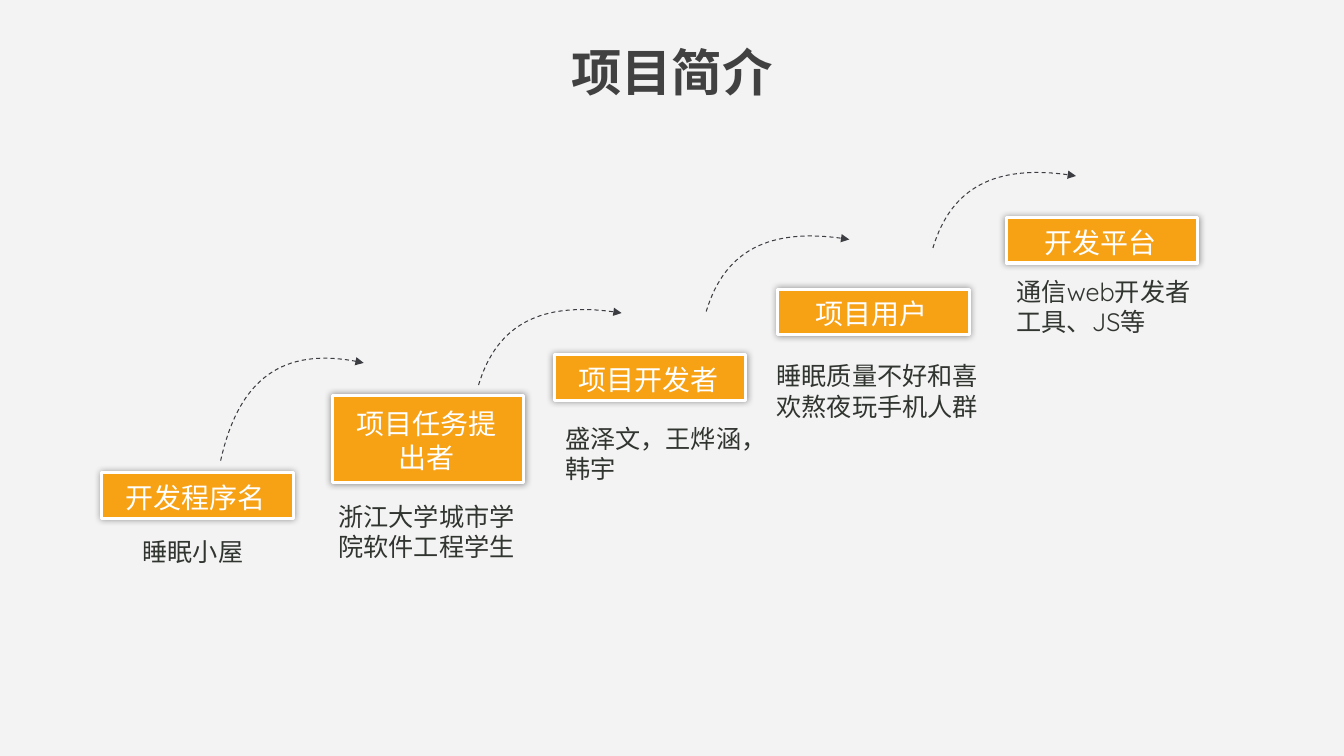
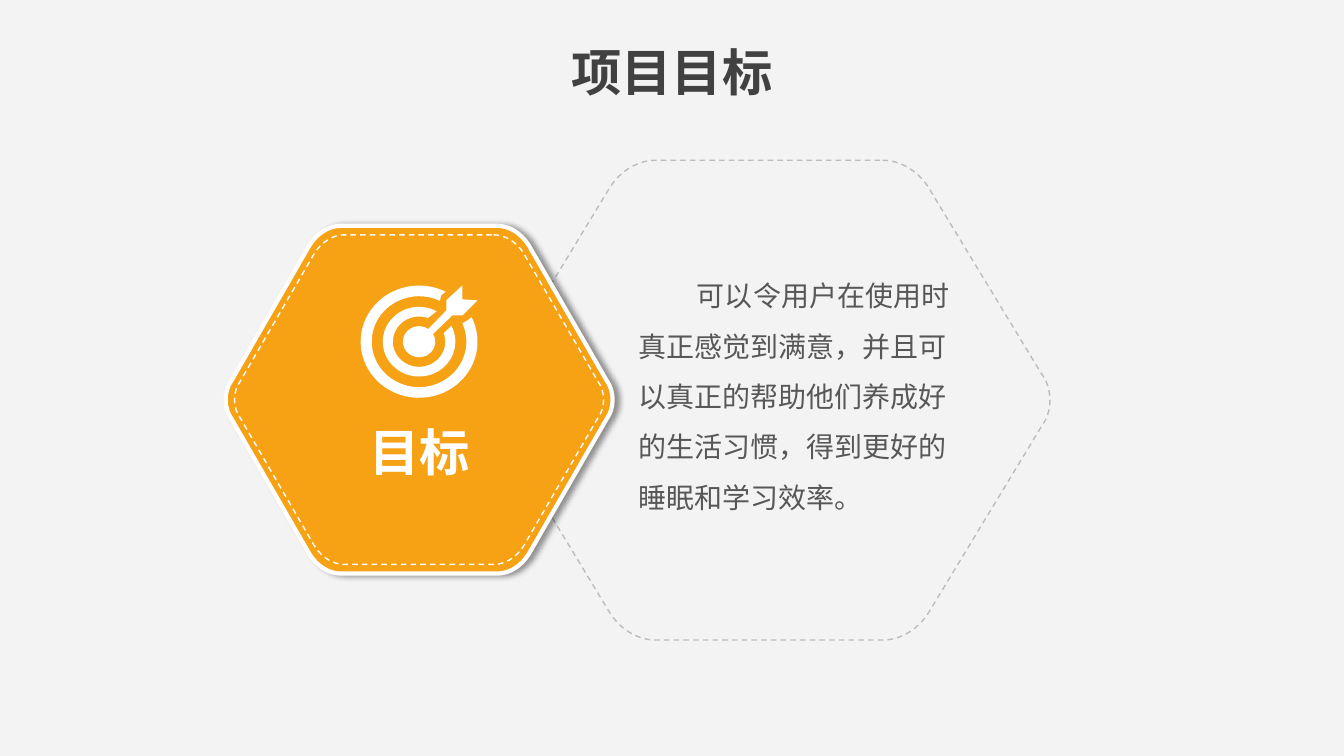
from dataclasses import dataclass
from math import cos, radians, sin

from lxml import etree
from pptx import Presentation
from pptx.dml.color import RGBColor
from pptx.dml.fill import FillFormat
from pptx.enum.dml import MSO_LINE
from pptx.enum.shapes import MSO_SHAPE
from pptx.enum.text import MSO_ANCHOR, PP_ALIGN
from pptx.oxml.ns import qn
from pptx.shapes.autoshape import Shape
from pptx.slide import Slide
from pptx.text.text import TextFrame
from pptx.util import Emu, Inches, Pt

LEFT, CENTER = PP_ALIGN.LEFT, PP_ALIGN.CENTER
TOP, MIDDLE = MSO_ANCHOR.TOP, MSO_ANCHOR.MIDDLE
RECTANGLE, DASH = MSO_SHAPE.RECTANGLE, MSO_LINE.DASH

CELL = Inches(0.1)
COLUMNS, ROWS = 133.4, 75
TITLE_ONLY = 5
FONT = "Quicksand"
PAPER, ORANGE, WHITE, BLACK = "F3F3F3", "F7A115", "FFFFFF", "000000"
TITLE_GREY, DETAIL_GREY, GOAL_GREY = "414141", "313530", "575757"
ARROW_GREY, OUTLINE_GREY = "3C3D42", "BCBCBC"

Point = tuple[float, float]


@dataclass(frozen=True)
class Box:
    left: float
    top: float
    width: float
    height: float


@dataclass(frozen=True)
class TextStyle:
    size: float
    color: str
    bold: bool = False
    align: PP_ALIGN = LEFT
    anchor: MSO_ANCHOR = TOP
    spacing: float = 1.0
    indent: float = 0


@dataclass(frozen=True)
class Step:
    label: str
    left: float
    top: float
    rows: float
    detail: str
    detail_box: Box
    align: PP_ALIGN = LEFT


@dataclass(frozen=True)
class Hop:
    left: float
    bottom: float
    rise: float = 8.4


@dataclass(frozen=True)
class Hexagon:
    center: Point
    width: float
    height: float
    fill: str
    line: str
    weight: float
    dashed: bool = False
    shaded: bool = False


TITLE_BOX = Box(41.1, 3.6, 51.2, 7.1)
TITLE = TextStyle(36, TITLE_GREY, True, CENTER)
LABEL = TextStyle(20, WHITE, align=CENTER, anchor=MIDDLE)
HEADLINE = TextStyle(36, WHITE, True, CENTER)
GOAL = TextStyle(20, GOAL_GREY, spacing=1.5, indent=5.8)

STEP_WIDTH = 19
STEPS = [
    Step("开发程序名", 10.1, 46.9, 4.5, "睡眠小屋", Box(10.7, 52.7, 16.9, 4), CENTER),
    Step("项目任务提出者", 33, 39.2, 8.7, "浙江大学城市学院软件工程学生",
         Box(32.6, 49.2, 19.7, 7.1)),
    Step("项目开发者", 55, 35.2, 4.5, "盛泽文，王烨涵，韩宇", Box(55.1, 41.5, 21.1, 7.1)),
    Step("项目用户", 77.2, 28.7, 4.5, "睡眠质量不好和喜欢熬夜玩手机人群",
         Box(76.1, 35.3, 22.7, 7.1)),
    Step("开发平台", 99.9, 21.6, 4.5, "通信web开发者工具、JS等", Box(99.9, 26.9, 21.1, 7.1)),
]
HOPS = [Hop(21.9, 45.7, 11.4), Hop(47.5, 38.2), Hop(70.1, 30.9), Hop(92.6, 24.6)]
HOP_WIDTH = 14.2
HOP_CURVE = [(0, 0), (0.13, 0.73), (0.47, 1), (1, 0.85)]

OUTLINE = Hexagon((76.35, 39.7), 56.3, 47.6, PAPER, OUTLINE_GREY, 1, dashed=True)
BADGE = [
    Hexagon((41.6, 39.65), 38.8, 34.5, ORANGE, WHITE, 3, shaded=True),
    Hexagon((41.6, 39.65), 37, 32.7, ORANGE, WHITE, 1, dashed=True),
]
UPPER_CORNER = [(0.4, -1), (0.46, -1), (0.52, -0.96), (0.56, -0.89)]
SIDE_CORNER = [(0.96, -0.11), (1, -0.05), (1, 0.05), (0.96, 0.11)]

TARGET_CENTER = (41.6, 33.9)
TARGET_RATIO = 0.96
DART = [(44.3, 30.8), (44.3, 29.8), (45.9, 28.3), (45.9, 29.7),
        (47.4, 29.8), (45.9, 31.3), (44.9, 31.3)]


def cells(count: float) -> Emu:
    return Emu(round(count * CELL))


def frame(box: Box) -> list[Emu]:
    return [cells(side) for side in (box.left, box.top, box.width, box.height)]


def paint(fill: FillFormat, color: str) -> None:
    fill.solid()
    fill.fore_color.rgb = RGBColor.from_string(color)


def assign(target: object, values: dict) -> None:
    for key, value in values.items():
        setattr(target, key, value)


def write(text_frame: TextFrame, text: str, style: TextStyle) -> None:
    assign(text_frame, {"word_wrap": True, "vertical_anchor": style.anchor})
    paragraph = text_frame.paragraphs[0]
    assign(paragraph, {"alignment": style.align, "line_spacing": style.spacing})
    if style.indent:
        paragraph._p.get_or_add_pPr().set("indent", str(cells(style.indent)))
    run = paragraph.add_run()
    run.text = text
    assign(run.font, {"name": FONT, "size": Pt(style.size), "bold": style.bold})
    paint(run.font.fill, style.color)


def add_text(slide: Slide, box: Box, text: str, style: TextStyle) -> None:
    write(slide.shapes.add_textbox(*frame(box)).text_frame, text, style)


def outline(shape: Shape, color: str, weight: float, dashed: bool = False) -> None:
    paint(shape.line.fill, color)
    shape.line.width = Pt(weight)
    if dashed:
        shape.line.dash_style = DASH


def shade(shape: Shape, blur: float, distance: float = 0) -> None:
    effects = shape._element.spPr.find(qn("a:effectLst"))
    shadow = etree.SubElement(effects, qn("a:outerShdw"), blurRad=str(Pt(blur)),
                              dist=str(Pt(distance)), dir="0", algn="ctr", rotWithShape="0")
    tone = etree.SubElement(shadow, qn("a:srgbClr"), val=BLACK)
    etree.SubElement(tone, qn("a:alpha"), val="40000")


def add_outline(slide: Slide, contours: list[list[Point]], closed: bool = True) -> Shape:
    scaled = [[(cells(x), cells(y)) for x, y in contour] for contour in contours]
    builder = slide.shapes.build_freeform(*scaled[0][0], scale=1.0)
    for order, (start, *rest) in enumerate(scaled):
        if order:
            builder.move_to(*start)
        builder.add_line_segments(rest, close=closed)
    shape = builder.convert_to_shape()
    shape.shadow.inherit = False
    return shape


def bend(shape: Shape) -> None:
    segments = shape._element.findall(".//" + qn("a:lnTo"))
    for start in range(0, len(segments), 4):
        curve = etree.Element(qn("a:cubicBezTo"))
        segments[start].addprevious(curve)
        for segment in segments[start:start + 3]:
            curve.append(segment[0])
            segment.getparent().remove(segment)


def add_hop(slide: Slide, hop: Hop) -> None:
    points = [(hop.left + x * HOP_WIDTH, hop.bottom - y * hop.rise) for x, y in HOP_CURVE]
    arrow = add_outline(slide, [points], closed=False)
    bend(arrow)
    arrow.fill.background()
    outline(arrow, ARROW_GREY, 0.75, dashed=True)
    etree.SubElement(arrow.line._get_or_add_ln(), qn("a:tailEnd"), type="triangle")


def add_step(slide: Slide, step: Step) -> None:
    box = Box(step.left, step.top, STEP_WIDTH, step.rows)
    plate = slide.shapes.add_shape(RECTANGLE, *frame(box))
    plate.shadow.inherit = False
    paint(plate.fill, ORANGE)
    outline(plate, WHITE, 2.25)
    shade(plate, 5)
    assign(plate.text_frame, {"margin_left": cells(2.2), "margin_right": cells(2.5),
                              "margin_top": cells(0.3), "margin_bottom": 0})
    write(plate.text_frame, step.label, LABEL)
    add_text(slide, step.detail_box, step.detail, TextStyle(18, DETAIL_GREY, align=step.align))


def add_hexagon(slide: Slide, hexagon: Hexagon) -> None:
    lower_corner = [(x, -y) for x, y in reversed(UPPER_CORNER)]
    right_half = UPPER_CORNER + SIDE_CORNER + lower_corner
    left_half = [(-x, -y) for x, y in right_half]
    x0, y0 = hexagon.center
    points = [(x0 + x * hexagon.width / 2, y0 + y * hexagon.height / 2)
              for x, y in right_half + left_half]
    shape = add_outline(slide, [points])
    bend(shape)
    paint(shape.fill, hexagon.fill)
    outline(shape, hexagon.line, hexagon.weight, hexagon.dashed)
    if hexagon.shaded:
        shade(shape, 4, 3)


def arc(radius: float, start: float, end: float, steps: int = 60) -> list[Point]:
    x0, y0 = TARGET_CENTER
    angles = [radians(start + (end - start) * i / steps) for i in range(steps + 1)]
    return [(x0 + radius * cos(a), y0 + radius * TARGET_RATIO * sin(a)) for a in angles]


def add_target(slide: Slide) -> None:
    outer_ring = arc(4.7, -24, 296) + [(43.8, 29.3)] + arc(5.8, 297, -26) + [(46.4, 31.8)]
    inner_ring = arc(2.6, -20, 290) + arc(3.6, 299, -27)
    bullseye = arc(1.6, -30, 305) + DART
    target = add_outline(slide, [inner_ring, bullseye, outer_ring])
    paint(target.fill, WHITE)
    target.line.fill.background()


def add_titled_slide(deck: Presentation, title: str) -> Slide:
    slide = deck.slides.add_slide(deck.slide_layouts[TITLE_ONLY])
    heading = slide.shapes.title
    assign(heading, dict(zip(("left", "top", "width", "height"), frame(TITLE_BOX))))
    write(heading.text_frame, title, TITLE)
    return slide


def build_introduction(deck: Presentation) -> None:
    slide = add_titled_slide(deck, "项目简介")
    for hop in HOPS:
        add_hop(slide, hop)
    for step in STEPS:
        add_step(slide, step)


def build_goal(deck: Presentation) -> None:
    slide = add_titled_slide(deck, "项目目标")
    for hexagon in [OUTLINE, *BADGE]:
        add_hexagon(slide, hexagon)
    add_target(slide)
    add_text(slide, Box(29.2, 41.3, 24.9, 7.1), "目标", HEADLINE)
    add_text(slide, Box(62.4, 25.5, 33.3, 25.7),
             "可以令用户在使用时真正感觉到满意，并且可以真正的帮助他们养成好的生活习惯，"
             "得到更好的睡眠和学习效率。", GOAL)


def main() -> None:
    deck = Presentation()
    assign(deck, {"slide_width": cells(COLUMNS), "slide_height": cells(ROWS)})
    paint(deck.slide_master.background.fill, PAPER)
    build_introduction(deck)
    build_goal(deck)
    deck.save("out.pptx")


if __name__ == "__main__":
    main()
